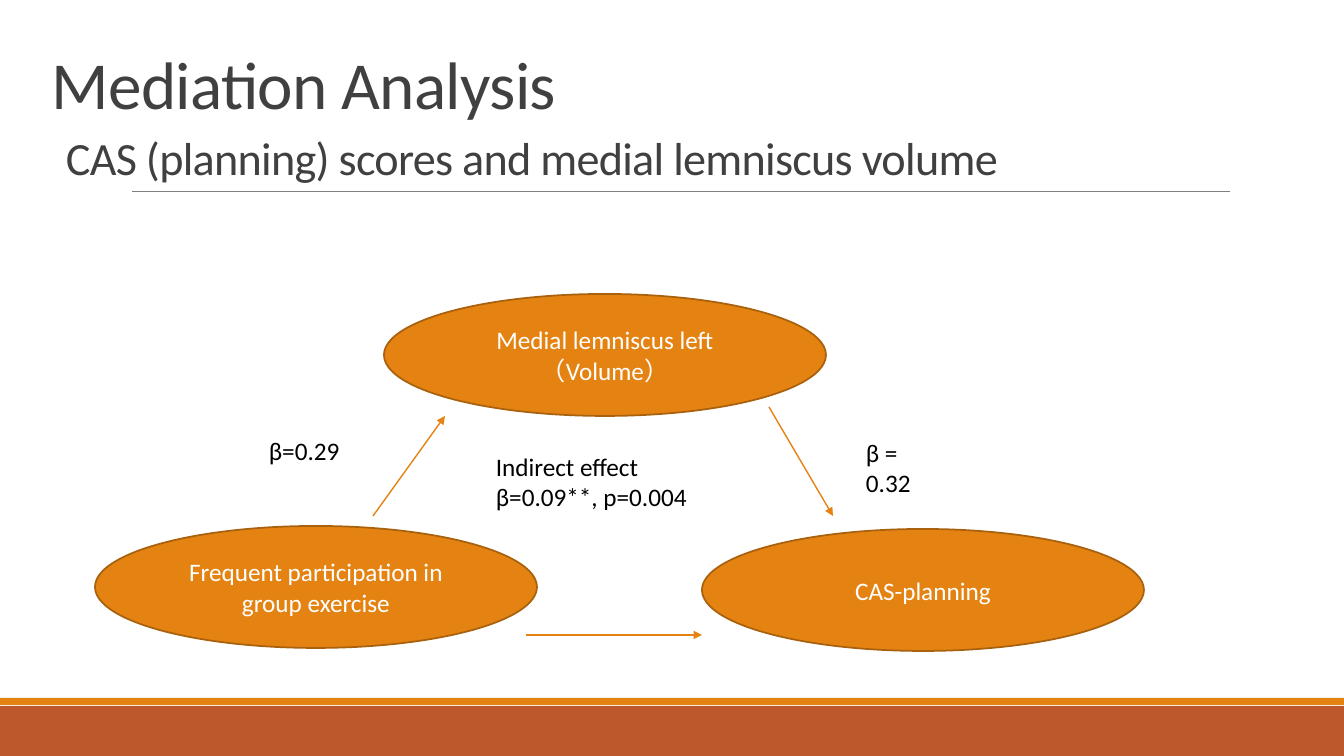
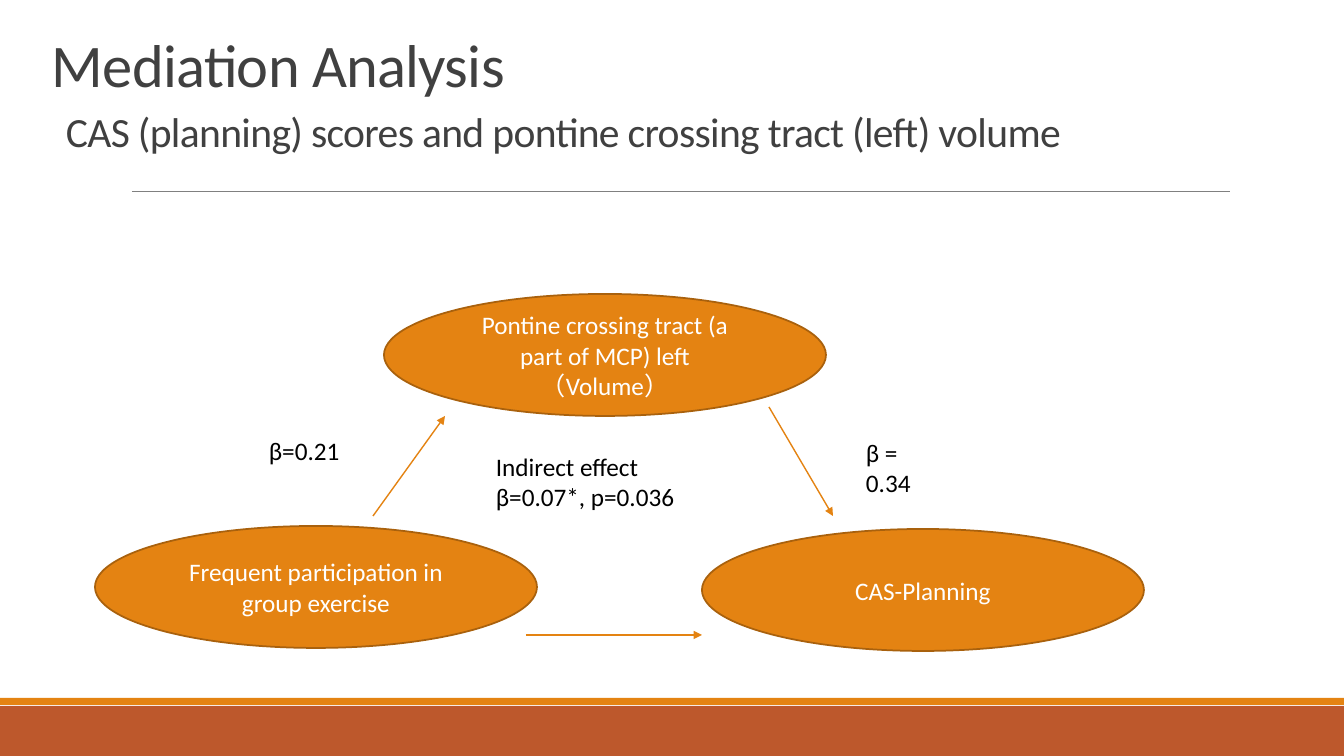
from lxml import etree
from pptx import Presentation
from pptx import util as u
from pptx.dml.color import RGBColor
from pptx.enum import shapes, text
from pptx.oxml.ns import qn

EMU_PER_PX = 914400 / 100.8
WIDTH, HEIGHT = 1344, 756
NODE_SIZE = 442, 122
FONT = "Calibri"
ORANGE, RUST, BROWN = "E48312", "BD582C", "A9610D"
GREY, CHARCOAL, WHITE, BLACK = "808080", "404040", "FFFFFF", "000000"


def px(length):
    return u.Emu(round(length * EMU_PER_PX))


def rgb(color):
    return RGBColor.from_string(color)


class Deck:
    def __init__(self):
        self.prs = Presentation()
        self.prs.slide_width, self.prs.slide_height = px(WIDTH), px(HEIGHT)
        self.slide = None

    def new_slide(self):
        """Start a slide with the shared bands and title rule."""
        self.slide = self.prs.slides.add_slide(self.prs.slide_layouts[6])
        self.shape(shapes.MSO_SHAPE.RECTANGLE, 0, 706, WIDTH, 50, RUST)
        self.shape(shapes.MSO_SHAPE.RECTANGLE, 0, 698, WIDTH, 7, ORANGE)
        self.line(132, 191, 1230, 191, GREY, 0.5)

    def shape(self, preset, x, y, w, h, fill, outline=None):
        shape = self.slide.shapes.add_shape(preset, px(x), px(y), px(w), px(h))
        shape.shadow.inherit = False
        shape.fill.solid()
        shape.fill.fore_color.rgb = rgb(fill)
        if outline:
            shape.line.color.rgb = rgb(outline)
            shape.line.width = u.Pt(1.25)
        else:
            shape.line.fill.background()
        return shape

    def line(self, x1, y1, x2, y2, color, width):
        line = self.slide.shapes.add_connector(
            shapes.MSO_CONNECTOR.STRAIGHT, px(x1), px(y1), px(x2), px(y2))
        line.line.color.rgb = rgb(color)
        line.line.width = u.Pt(width)
        etree.SubElement(line._element.spPr, qn("a:effectLst"))
        return line

    def arrow(self, x1, y1, x2, y2):
        stroke = self.line(x1, y1, x2, y2, ORANGE, 1).line._get_or_add_ln()
        etree.SubElement(stroke, qn("a:tailEnd"), type="triangle")

    def run(self, paragraph, words, size, color):
        run = paragraph.add_run()
        run.text = words
        run.font.name = FONT
        run.font.size = u.Pt(size)
        run.font.color.rgb = rgb(color)
        return run

    def text_box(self, x, y, w, h):
        frame = self.slide.shapes.add_textbox(px(x), px(y), px(w), px(h)).text_frame
        frame.word_wrap = True
        return frame

    def title(self, heading, subtitle, size, subtitle_size, bottom):
        frame = self.text_box(42, bottom - 170, 1262, 170)
        frame.vertical_anchor = text.MSO_ANCHOR.BOTTOM
        top, below = frame.paragraphs[0], frame.add_paragraph()
        below.space_before = u.Pt(round(size * 0.22, 1))
        below._p.get_or_add_pPr().set("marL", str(px(14)))
        for paragraph, words, points in (
                (top, heading, size), (below, subtitle, subtitle_size)):
            paragraph.line_spacing = 0.85
            run = self.run(paragraph, words, points, CHARCOAL)
            run._r.get_or_add_rPr().set("spc", "-50")

    def node(self, x, y, words):
        ellipse = self.shape(shapes.MSO_SHAPE.OVAL, x, y, *NODE_SIZE, ORANGE, BROWN)
        frame = ellipse.text_frame
        frame.word_wrap = True
        frame.vertical_anchor = text.MSO_ANCHOR.MIDDLE
        frame.paragraphs[0].alignment = text.PP_ALIGN.CENTER
        self.run(frame.paragraphs[0], words, 18, WHITE)

    def label(self, x, y, w, *lines):
        frame = self.text_box(x, y, w, 10 + 30 * len(lines))
        for index, words in enumerate(lines):
            paragraph = frame.add_paragraph() if index else frame.paragraphs[0]
            self.run(paragraph, words, 18, BLACK)

    def mediation(self, mediator, outcome, first_beta, second_beta, indirect):
        """Draw the predictor, mediator and outcome with their effects."""
        self.node(95, 526, "Frequent participation in group exercise")
        self.node(702, 529, outcome)
        self.node(384, 294, mediator)
        self.arrow(373, 516, 445, 416)
        self.arrow(769, 407, 833, 516)
        self.arrow(526, 635, 702, 635)
        self.label(486, 446, 240, "Indirect effect", indirect)
        self.label(259, 430, 110, f"β={first_beta}")
        self.label(856, 432, 115, "β =", second_beta)


def main():
    deck = Deck()

    deck.new_slide()
    deck.title("Mediation Analysis",
               "CAS (planning) scores and medial lemniscus volume", 48, 33, 190)
    deck.mediation("Medial lemniscus left （Volume）", "CAS-planning",
                   "0.29", "0.32", "β=0.09**, p=0.004")

    deck.new_slide()
    deck.title("Mediation Analysis",
               "CAS (planning) scores and pontine crossing tract (left) volume",
               43.2, 29.7, 161)
    deck.mediation("Pontine crossing tract (a part of MCP) left （Volume）",
                   "CAS-Planning", "0.21", "0.34", "β=0.07*, p=0.036")

    deck.prs.save("out.pptx")


if __name__ == "__main__":
    main()
